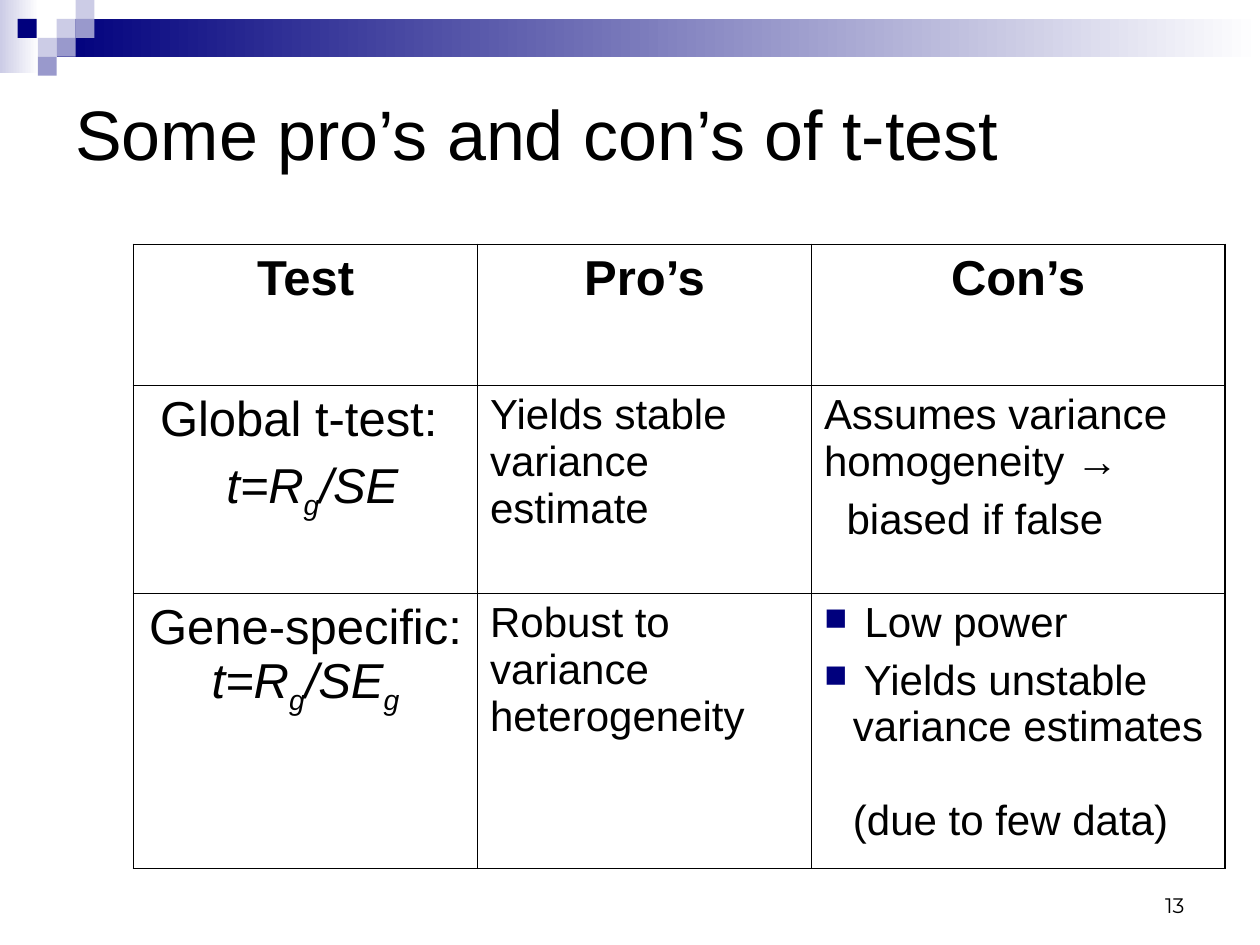
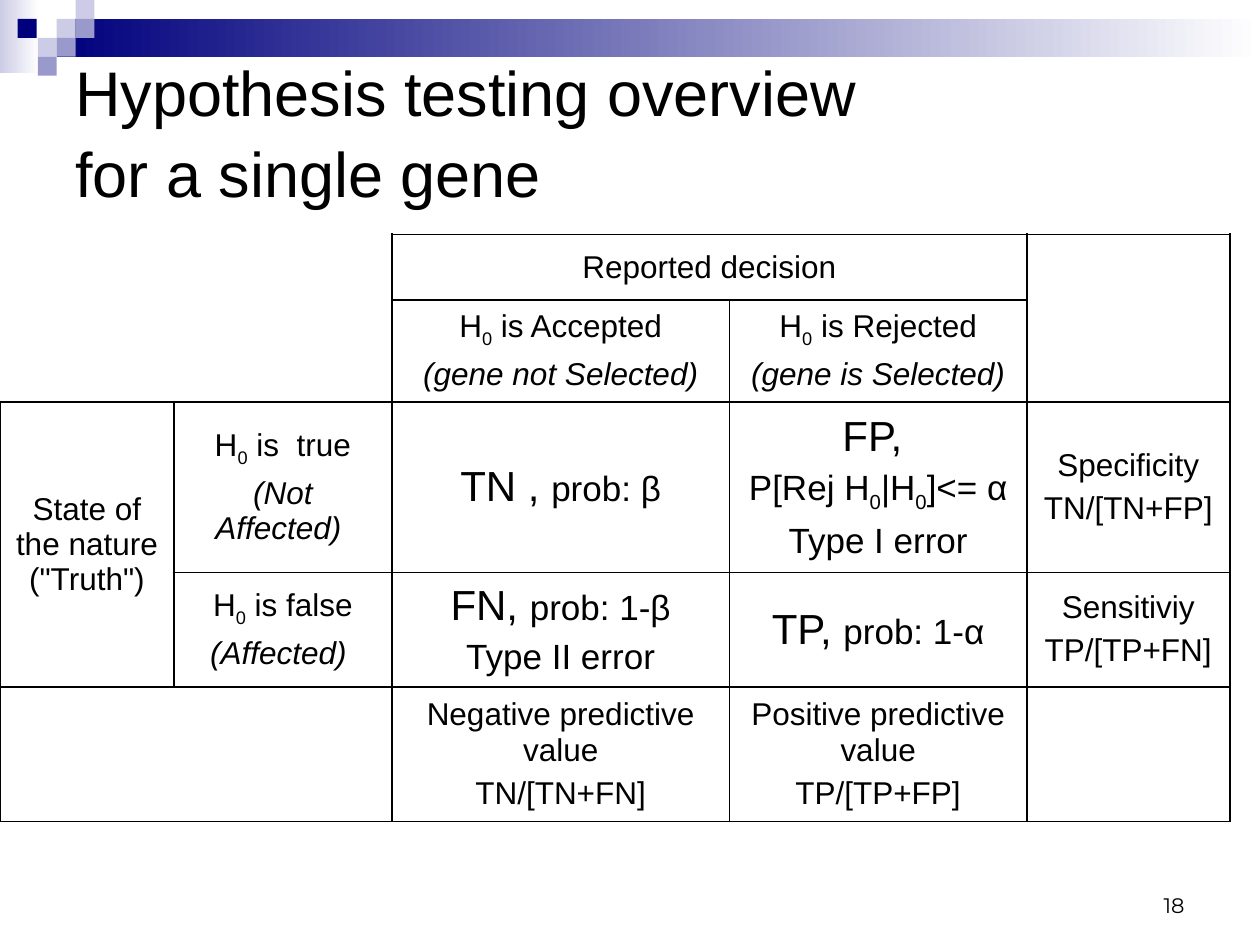
"""Build two slides on t-tests and hypothesis testing for gene data."""
from dataclasses import dataclass

import lxml.etree
import pptx
import pptx.dml.color
import pptx.enum.shapes
import pptx.enum.text
import pptx.oxml.ns
import pptx.util

EMU_PER_PX = 9144
ALIGN = pptx.enum.text.PP_ALIGN
ANCHOR = pptx.enum.text.MSO_ANCHOR
NO_GRID_STYLE = "{2D5ABB26-0587-4C30-8999-92F81FD0307C}"


@dataclass(frozen=True)
class Theme:
    ink: str = "000000"
    navy: str = "00007D"
    mid: str = "9999CC"
    pale: str = "CCCCE6"
    white: str = "FFFFFF"
    font: str = "Arial"
    number_font: str = "Montserrat"
    title: int = 40
    long_title: int = 36
    title_spacing: float = 1.07
    heading: int = 28
    body: int = 24
    formula: int = 20
    label: int = 18
    number: int = 12
    hairline: float = 0.45
    frame: float = 1.08
    rule: float = 1.47


THEME = Theme()


@dataclass
class Span:
    text: str
    size: int = None
    italic: bool = None
    sub: bool = False


@dataclass
class Para:
    spans: list
    size: int = THEME.label
    before: float = 4.5
    align: object = ALIGN.CENTER
    bold: bool = None
    italic: bool = None
    font: str = THEME.font
    indent: int = 0
    bullet: str = None


def px(length):
    return pptx.util.Emu(length * EMU_PER_PX)


def rgb(value):
    return pptx.dml.color.RGBColor.from_string(value)


def add_xml(parent, tag, **attributes):
    return lxml.etree.SubElement(parent, pptx.oxml.ns.qn(tag), attributes)


def sub(text):
    return Span(text, sub=True)


def label(*spans, **options):
    return Para(list(spans), **options)


def heading(*spans, **options):
    return Para(list(spans), THEME.heading, 7, **options)


def body(*spans, **options):
    return Para(list(spans), THEME.body, 6, ALIGN.LEFT, **options)


def formula(*spans):
    return Para(list(spans), THEME.formula, 5)


def add_span(paragraph, span):
    for index, line in enumerate(span.text.split("\n")):
        if index:
            paragraph.add_line_break()
        run = paragraph.add_run()
        run.text = line
        if span.size:
            run.font.size = pptx.util.Pt(span.size)
        if span.italic:
            run.font.italic = True
        if span.sub:
            run._r.get_or_add_rPr().set("baseline", "-25000")


def set_indent(paragraph, para):
    properties = paragraph._p.get_or_add_pPr()
    properties.set("marL", str(px(para.indent)))
    if para.bullet:
        properties.set("indent", str(-px(para.indent)))
        color = add_xml(properties, "a:buClr")
        add_xml(color, "a:srgbClr", val=THEME.navy)
        add_xml(properties, "a:buSzPct", val="75000")
        add_xml(properties, "a:buChar", char=para.bullet)


def write(frame, paras):
    for index, para in enumerate(paras):
        paragraph = frame.add_paragraph() if index else frame.paragraphs[0]
        if para.indent:
            set_indent(paragraph, para)
        if index:
            paragraph.space_before = pptx.util.Pt(para.before)
        paragraph.alignment = para.align
        font = paragraph.font
        font.name = para.font
        font.size = pptx.util.Pt(para.size)
        font.bold = para.bold
        font.italic = para.italic
        font.color.rgb = rgb(THEME.ink)
        for span in para.spans:
            add_span(paragraph, Span(span) if isinstance(span, str) else span)


def add_text(page, area, para, anchor):
    box = page.shapes.add_textbox(*map(px, area))
    box.text_frame.word_wrap = True
    box.text_frame.vertical_anchor = anchor
    write(box.text_frame, [para])
    return box


def add_block(page, area, color, fade=False):
    block = page.shapes.add_shape(
        pptx.enum.shapes.MSO_SHAPE.RECTANGLE, *map(px, area))
    block.shadow.inherit = False
    block.line.fill.background()
    if fade:
        block.fill.gradient()
        block.fill.gradient_angle = 0
        for stop, shade in zip(block.fill.gradient_stops, (color, THEME.white)):
            stop.color.rgb = rgb(shade)
    else:
        block.fill.solid()
        block.fill.fore_color.rgb = rgb(color)


def add_page(deck, title, size, number):
    page = deck.slides.add_slide(deck.slide_layouts[6])
    add_block(page, (0, 0, 31, 58), THEME.pale, fade=True)
    add_block(page, (45, 15, 955, 30), THEME.navy, fade=True)
    squares = [(45, 15, THEME.pale), (60, 0, THEME.pale), (60, 15, THEME.mid),
               (30, 30, THEME.pale), (14, 15, THEME.navy),
               (45, 30, THEME.mid), (30, 45, THEME.mid)]
    for left, top, color in squares:
        add_block(page, (left, top, 15, 15), color)
    add_text(page, (717, 683, 233, 50),
             Para([number], THEME.number, align=ALIGN.RIGHT,
                  font=THEME.number_font), ANCHOR.BOTTOM)
    box = add_text(page, (50, 50, 900, 105),
                   Para([title], size, align=ALIGN.LEFT), ANCHOR.MIDDLE)
    box.text_frame.paragraphs[0].line_spacing = THEME.title_spacing
    return page


def add_border(cell, side, width):
    line = add_xml(cell._tc.get_or_add_tcPr(), f"a:ln{side}",
                   w=str(pptx.util.Pt(width)))
    fill = add_xml(line, "a:solidFill")
    add_xml(fill, "a:srgbClr", val=THEME.ink)


def add_grid(page, corner, columns, rows, cells, edges, anchor,
             merges=(), unframed=()):
    """Draw a table whose edges give line widths by column and by row."""
    size = sum(columns), sum(rows)
    table = page.shapes.add_table(
        len(rows), len(columns), *map(px, corner + size)).table
    properties = table._tbl.tblPr
    properties.find(pptx.oxml.ns.qn("a:tableStyleId")).text = NO_GRID_STYLE
    table.first_row = table.horz_banding = False
    for column, width in zip(table.columns, columns):
        column.width = px(width)
    for row, height in zip(table.rows, rows):
        row.height = px(height)

    owner = {(r, c): (r, c) for r in range(len(rows))
             for c in range(len(columns)) if (r, c) not in unframed}
    for first, last in merges:
        table.cell(*first).merge(table.cell(*last))
        for r in range(first[0], last[0] + 1):
            for c in range(first[1], last[1] + 1):
                owner[r, c] = first

    vertical, horizontal = edges
    for r in range(len(rows)):
        for c in range(len(columns)):
            cell = table.cell(r, c)
            sides = [("L", (r, c - 1), vertical[c]),
                     ("R", (r, c + 1), vertical[c + 1]),
                     ("T", (r - 1, c), horizontal[r]),
                     ("B", (r + 1, c), horizontal[r + 1])]
            for side, neighbour, width in sides:
                if owner.get((r, c)) != owner.get(neighbour):
                    add_border(cell, side, width)
            cell.fill.background()
            cell.vertical_anchor = anchor
            write(cell.text_frame, cells.get((r, c), []))


def build_pros_and_cons(deck):
    page = add_page(deck, "Some pro’s and con’s of t-test", THEME.title, "13")
    ratio = Span("t=R", italic=True)
    error = Span("/SE", italic=True)
    gene = Span("g", italic=True, sub=True)
    cells = {(0, c): [heading(name, bold=True)]
             for c, name in enumerate(("Test", "Pro’s", "Con’s"))}
    cells.update({
        (1, 0): [heading("Global t-test: "), heading(" ", ratio, gene, error)],
        (1, 1): [body("Yields stable variance estimate")],
        (1, 2): [body("Assumes variance homogeneity →"),
                 body("biased if false", indent=18)],
        (2, 0): [heading("Gene-specific: ", ratio, gene, error, gene)],
        (2, 1): [body("Robust to variance heterogeneity")],
        (2, 2): [body(text, indent=23, bullet="■") for text in (
            " Low power",
            " Yields unstable variance estimates \n(due to few data)")],
    })
    widths = [THEME.frame, THEME.hairline, THEME.hairline, THEME.frame]
    add_grid(page, (106, 194), (273, 265, 328), (112, 165, 179), cells,
             (widths, widths), ANCHOR.TOP)


def build_testing_overview(deck):
    page = add_page(deck, "Hypothesis testing overview \nfor a single gene",
                    THEME.long_title, "18")

    def hypothesis(state, meaning):
        return [label("H", sub("0"), state), label(meaning, italic=True)]

    def outcome(name, chance):
        return formula(Span(name, THEME.body), chance)

    def measure(name, ratio):
        return [label(name), label(ratio)]

    cells = {
        (0, 2): [label("Reported decision")],
        (1, 2): hypothesis(" is Accepted", "(gene not Selected)"),
        (1, 3): hypothesis(" is Rejected", "(gene is Selected)"),
        (2, 0): [label('State of the nature ("Truth")')],
        (2, 1): hypothesis(" is  true", "(Not Affected) "),
        (2, 2): [outcome("TN , ", "prob: β")],
        (2, 3): [body("FP, "),
                 formula("P[Rej H", sub("0"), "|H", sub("0"), "]<= α"),
                 formula("Type I error")],
        (2, 4): measure("Specificity", "TN/[TN+FP]"),
        (3, 1): hypothesis(" is false", "(Affected) "),
        (3, 2): [outcome("FN, ", "prob: 1-β"), formula("Type II error")],
        (3, 3): [outcome("TP, ", "prob: 1-α")],
        (3, 4): measure("Sensitiviy", "TP/[TP+FN]"),
        (4, 2): measure("Negative predictive value", "TN/[TN+FN]"),
        (4, 3): measure("Positive predictive value", "TP/[TP+FP]"),
    }
    cells[2, 3][0].align = ALIGN.CENTER
    frame, rule, hairline = THEME.frame, THEME.rule, THEME.hairline
    edges = ([frame, rule, rule, hairline, rule, frame],
             [frame, rule, rule, hairline, rule, frame])
    add_grid(page, (0, 186), (138, 173, 268, 236, 161), (52, 81, 135, 91, 107),
             cells, edges, ANCHOR.MIDDLE,
             merges=[((0, 2), (0, 3)), ((0, 4), (1, 4)),
                     ((2, 0), (3, 0)), ((4, 0), (4, 1))],
             unframed=[(0, 0), (0, 1), (1, 0), (1, 1)])


def main():
    deck = pptx.Presentation()
    deck.slide_width, deck.slide_height = px(1000), px(750)
    build_pros_and_cons(deck)
    build_testing_overview(deck)
    deck.save("out.pptx")


if __name__ == "__main__":
    main()
